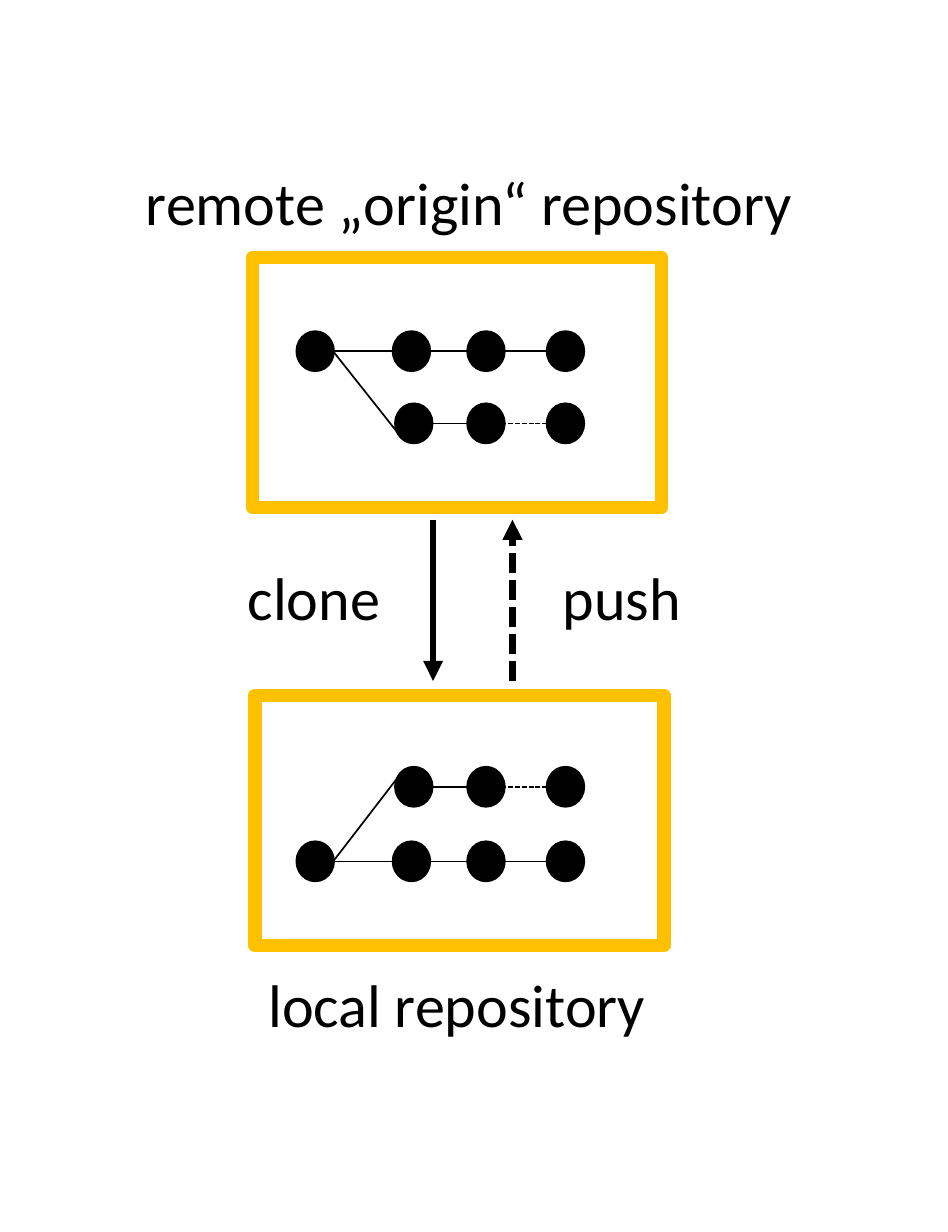
from itertools import pairwise

from pptx import Presentation
from pptx.dml.color import RGBColor
from pptx.enum.dml import MSO_LINE
from pptx.enum.shapes import MSO_CONNECTOR, MSO_SHAPE
from pptx.enum.text import MSO_AUTO_SIZE, PP_ALIGN
from pptx.oxml.ns import qn
from pptx.util import Inches, Pt
from lxml.etree import SubElement

BLACK = RGBColor(0x00, 0x00, 0x00)
WHITE = RGBColor(0xFF, 0xFF, 0xFF)
AMBER = RGBColor(0xFF, 0xC0, 0x00)


class RepositoryDiagram:
    """Draws repositories, commit histories and transfers on one slide."""

    font = "Calibri"
    text_size = Pt(18)
    dot_width, dot_height = 0.15, 0.16
    main_x = (1.31, 1.71, 2.02, 2.35)
    branch_x = (1.72, 2.02, 2.35)

    def __init__(self, slide):
        self.shapes = slide.shapes

    def outlined(self, shapes, preset, box, fill, outline, width):
        shape = shapes.add_shape(preset, *map(Inches, box))
        shape.shadow.inherit = False
        shape.fill.solid()
        shape.fill.fore_color.rgb = fill
        shape.line.color.rgb = outline
        shape.line.width = Pt(width)

    def repository(self, left, top):
        box = (left, top, 1.7, 1.04)
        self.outlined(self.shapes, MSO_SHAPE.RECTANGLE, box, WHITE, AMBER, 4)

    def label(self, text, left, top, width):
        box = self.shapes.add_textbox(*map(Inches, (left, top, width, 0.4)))
        frame = box.text_frame
        frame.text = text
        frame.word_wrap = True
        frame.auto_size = MSO_AUTO_SIZE.SHAPE_TO_FIT_TEXT
        paragraph = frame.paragraphs[0]
        paragraph.alignment = PP_ALIGN.CENTER
        font = paragraph.runs[0].font
        font.name, font.size = self.font, self.text_size
        font.color.rgb = BLACK

    def link(self, shapes, start, end, width=0.5, dashed=False, arrow=False):
        link = shapes.add_connector(
            MSO_CONNECTOR.STRAIGHT, *map(Inches, (*start, *end)))
        link.line.color.rgb = BLACK
        link.line.width = Pt(width)
        if dashed:
            link.line.dash_style = MSO_LINE.SQUARE_DOT
        properties = link._element.spPr
        if arrow:
            SubElement(properties.find(qn("a:ln")), qn("a:tailEnd"), type="triangle")
        SubElement(properties, qn("a:effectLst"))

    def transfer(self, x, start_y, end_y, dashed=False):
        self.link(self.shapes, (x, start_y), (x, end_y), 2, dashed, arrow=True)

    def history(self, main_y, branch_y):
        commits = self.shapes.add_group_shape().shapes
        radius = self.dot_width / 2
        for columns, y in ((self.main_x, main_y), (self.branch_x, branch_y)):
            for x in columns:
                box = (x - radius, y - self.dot_height / 2,
                       self.dot_width, self.dot_height)
                self.outlined(commits, MSO_SHAPE.OVAL, box, BLACK, BLACK, 1)
            for older, newer in pairwise(columns):
                unpushed = y == branch_y and newer == columns[-1]
                self.link(commits, (newer - radius, y), (older + radius, y),
                          dashed=unpushed)
        outward = 0.06 if branch_y > main_y else -0.06
        self.link(commits, (self.branch_x[0] - 0.05, branch_y + outward),
                  (self.main_x[0] + radius, main_y))


def main():
    presentation = Presentation()
    presentation.slide_width = Inches(3.94)
    presentation.slide_height = Inches(5.12)
    slide = presentation.slides.add_slide(presentation.slide_layouts[6])
    diagram = RepositoryDiagram(slide)

    diagram.repository(1.06, 2.89)
    diagram.repository(1.05, 1.07)
    for text, left, top, width in (
        ("remote „origin“ repository", 0.38, 0.64, 3.14),
        ("clone", 0.85, 2.28, 0.91),
        ("push", 2.17, 2.28, 0.83),
        ("local repository", 0.83, 3.97, 2.14),
    ):
        diagram.label(text, left, top, width)
    diagram.transfer(1.8, 2.16, 2.83)
    diagram.transfer(2.13, 2.83, 2.16, dashed=True)
    diagram.history(main_y=1.46, branch_y=1.76)
    diagram.history(main_y=3.58, branch_y=3.27)

    presentation.save("out.pptx")


if __name__ == "__main__":
    main()
